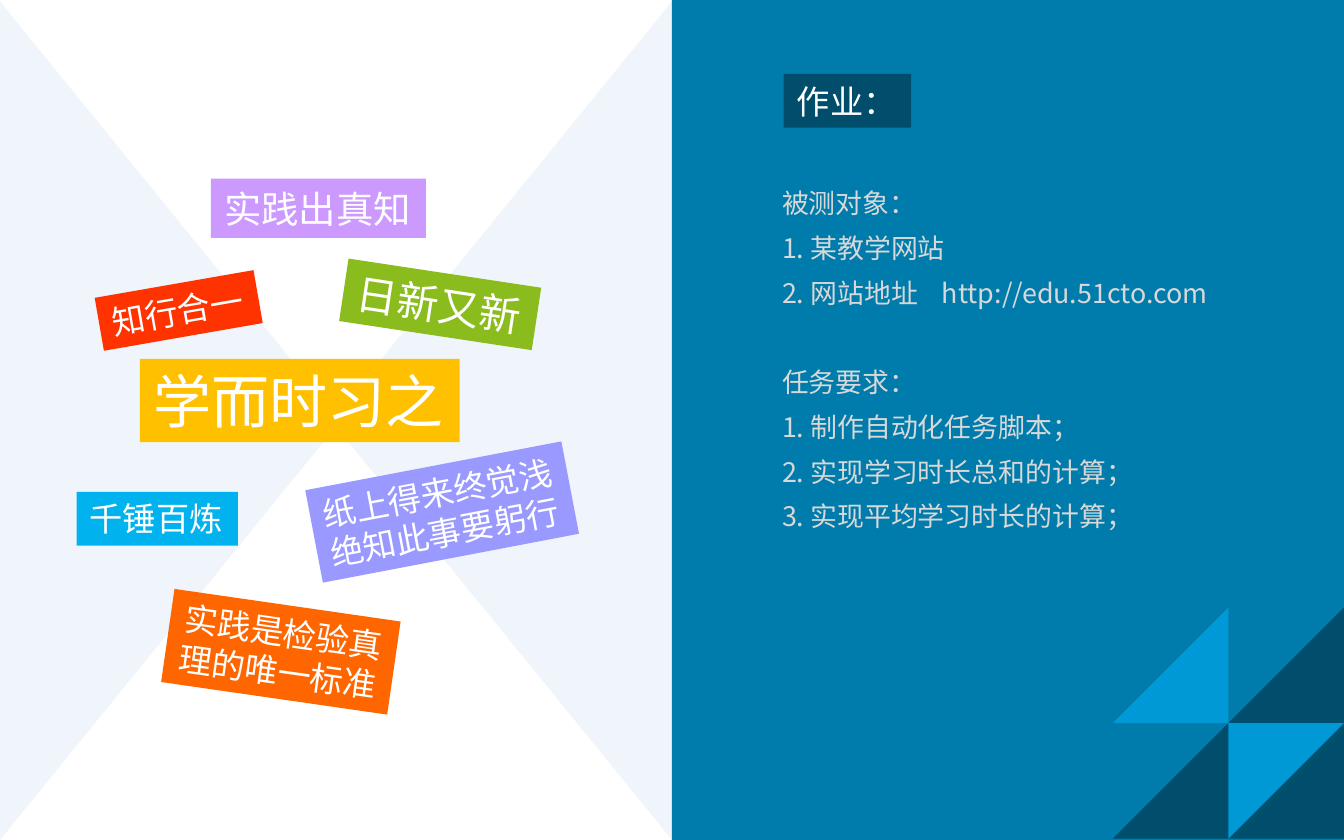
from dataclasses import dataclass

from lxml.etree import SubElement
from pptx import Presentation
from pptx.dml.color import RGBColor as RGB
from pptx.enum.shapes import MSO_SHAPE as SHAPE
from pptx.enum.text import MSO_ANCHOR as ANCHOR, MSO_AUTO_SIZE as AUTO, PP_ALIGN as ALIGN
from pptx.oxml.ns import qn
from pptx.shapes.autoshape import Shape
from pptx.slide import Slide
from pptx.text.text import _Paragraph as Paragraph
from pptx.util import Inches, Pt


@dataclass(frozen=True)
class Theme:
    font: str = "Noto Sans CJK KR"
    white: str = "FFFFFF"
    body_text: str = "D8D8D8"
    pale: str = "EFF5FB"
    panel: str = "007CAC"
    dark: str = "004D6C"
    light: str = "0099D6"
    small: float = 17.8
    medium: float = 20
    large: float = 22.2
    huge: float = 31.1
    body: float = 14.4
    body_after: float = 6.7
    section_gap: float = 24


T = Theme()


@dataclass(frozen=True)
class Block:
    kind: SHAPE
    left: float
    top: float
    width: float
    height: float
    color: str
    rotation: float = 0


@dataclass(frozen=True)
class Tag:
    block: Block
    lines: tuple[str, ...]
    size: float = T.small
    align: ALIGN = ALIGN.LEFT


BACKDROP = [
    Block(SHAPE.ISOSCELES_TRIANGLE, -1.86, 1.86, 6.25, 2.54, T.pale, 90),
    Block(SHAPE.ISOSCELES_TRIANGLE, 0.61, 1.86, 6.25, 2.54, T.pale, 270),
    Block(SHAPE.RECTANGLE, 5, 0, 5, 6.25, T.panel),
]

CORNER = [
    Block(SHAPE.RIGHT_TRIANGLE, 8.28, 4.52, 1.72, 1.72, T.dark, 270),
    Block(SHAPE.RIGHT_TRIANGLE, 9.14, 5.38, 0.86, 0.86, T.light, 90),
    Block(SHAPE.RIGHT_TRIANGLE, 8.28, 4.52, 0.86, 0.86, T.light, 270),
]

RECT = SHAPE.RECTANGLE
TAGS = [
    Tag(Block(RECT, 0.57, 3.66, 1.2, 0.4, "00B3EE"), ("千锤百炼",)),
    Tag(Block(RECT, 1.04, 2.67, 2.38, 0.62, "FFC000"), ("学而时习之",), T.huge),
    Tag(Block(RECT, 0.73, 2.11, 1.2, 0.4, "FF3300", 350.1), ("知行合一",)),
    Tag(Block(RECT, 2.55, 2.03, 1.45, 0.47, "8ABC1D", 8.6), ("日新又新",), T.large),
    Tag(Block(RECT, 2.32, 3.46, 1.94, 0.7, "9999FF", 349.2),
        ("纸上得来终觉浅", "绝知此事要躬行")),
    Tag(Block(RECT, 1.24, 4.5, 1.7, 0.7, "FF6600", 8.2),
        ("实践是检验真", "理的唯一标准"), align=ALIGN.CENTER),
    Tag(Block(RECT, 1.57, 1.33, 1.6, 0.44, "CC99FF"), ("实践出真知",), T.medium),
]

SECTIONS = [
    ("被测对象：", "1. 某教学网站", "2. 网站地址\thttp://edu.51cto.com"),
    ("任务要求：", "1. 制作自动化任务脚本；", "2. 实现学习时长总和的计算；",
     "3. 实现平均学习时长的计算；"),
]


def style(p: Paragraph, size: float, color: str, align: ALIGN) -> None:
    """Format a paragraph, with the same font for Latin and East Asian text."""
    p.alignment = align
    p.font.size = Pt(size)
    p.font.color.rgb = RGB.from_string(color)
    p.font.name = T.font
    props = p._p.pPr.find(qn("a:defRPr"))
    SubElement(props, qn("a:ea")).set("typeface", T.font)


def draw_block(slide: Slide, b: Block) -> Shape:
    sp = slide.shapes.add_shape(b.kind, Inches(b.left), Inches(b.top),
                                Inches(b.width), Inches(b.height))
    sp.rotation = b.rotation
    sp.shadow.inherit = False
    sp.fill.solid()
    sp.fill.fore_color.rgb = RGB.from_string(b.color)
    sp.line.fill.background()
    return sp


def write_label(sp: Shape, lines: tuple[str, ...], size: float, align: ALIGN) -> None:
    tf = sp.text_frame
    tf.text = "\n".join(lines)
    tf.word_wrap = False
    tf.auto_size = AUTO.NONE
    tf.vertical_anchor = ANCHOR.MIDDLE
    for p in tf.paragraphs:
        style(p, size, T.white, align)


def place_title(slide: Slide) -> None:
    """Move the title placeholder in front of the panel."""
    sp = slide.shapes.title
    sp.left, sp.top, sp.width, sp.height = map(Inches, (5.83, 0.55, 0.95, 0.4))
    sp.fill.solid()
    sp.fill.fore_color.rgb = RGB.from_string(T.dark)
    write_label(sp, ("作业：",), T.small, ALIGN.LEFT)
    slide.shapes._spTree.append(sp._element)


def write_assignment(slide: Slide) -> None:
    sp = slide.shapes.add_textbox(Inches(5.72), Inches(1.34), Inches(3.91), Inches(2.74))
    tf = sp.text_frame
    tf.word_wrap = True
    tf.text = "\n".join(line for section in SECTIONS for line in section)
    headings = [section[0] for section in SECTIONS[1:]]
    for p in tf.paragraphs:
        p.space_after = Pt(T.body_after)
        if p.text in headings:
            p.space_before = Pt(T.section_gap)
        if "\t" in p.text:
            tabs = SubElement(p._p.get_or_add_pPr(), qn("a:tabLst"))
            SubElement(tabs, qn("a:tab"), pos=str(Inches(1.19)), algn="l")
        style(p, T.body, T.body_text, ALIGN.JUSTIFY)


def main() -> None:
    prs = Presentation()
    prs.slide_width, prs.slide_height = Inches(10), Inches(6.25)
    slide = prs.slides.add_slide(prs.slide_layouts[5])
    for block in BACKDROP:
        draw_block(slide, block)
    for tag in TAGS:
        write_label(draw_block(slide, tag.block), tag.lines, tag.size, tag.align)
    place_title(slide)
    write_assignment(slide)
    for block in CORNER:
        draw_block(slide, block)
    prs.save("out.pptx")


if __name__ == "__main__":
    main()
